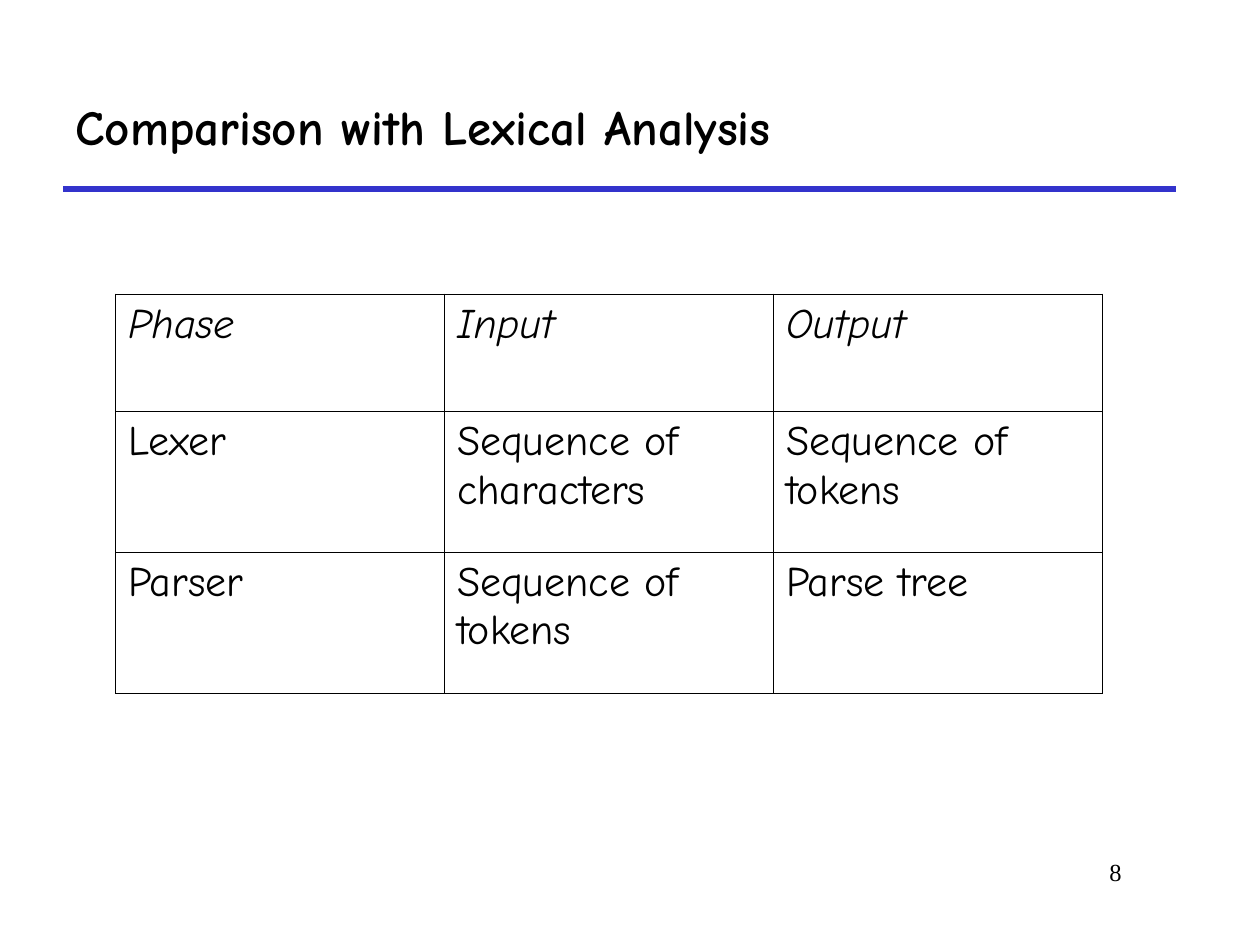
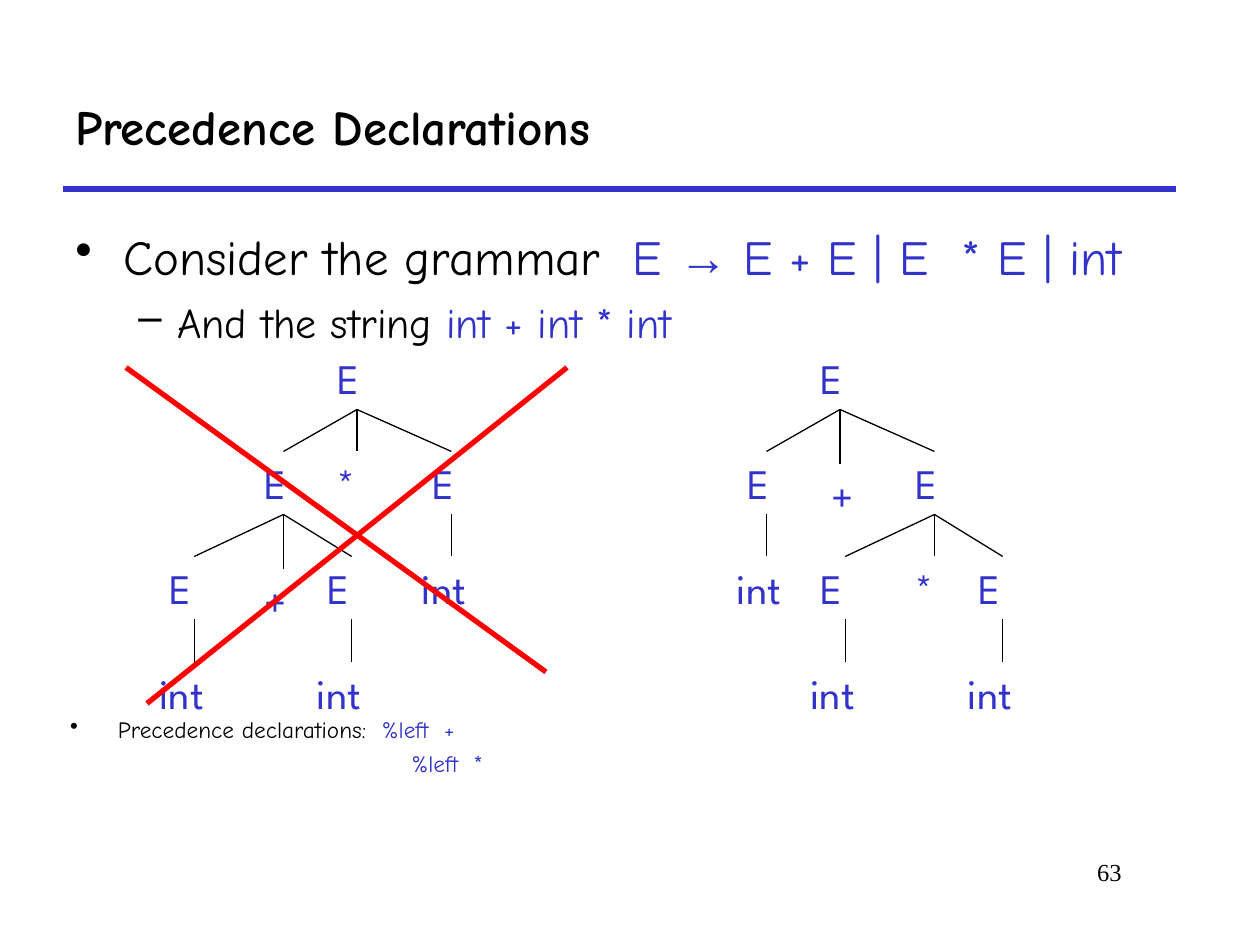
from lxml.etree import SubElement
from pptx import Presentation
from pptx.dml.color import RGBColor
from pptx.enum.shapes import MSO_CONNECTOR
from pptx.enum.text import MSO_ANCHOR, MSO_AUTO_SIZE, PP_ALIGN
from pptx.oxml import parse_xml
from pptx.oxml.ns import nsdecls, qn
from pptx.util import Inches, Pt

COLORS = {"ink": "000000", "accent": "3333CC", "cross": "FF0000"}
TEXT_FONT = "Comic Neue"
TREE_FONT = "League Spartan"
NUMBER_FONT = "Times New Roman"
COLUMNS, ROWS = 120, 90
TITLE_ONLY = 5
NODE_HEIGHT, LEVEL_STEP, TREE_TOP = 6, 10, 33
PLUS_DROP = 1.2
SPREADS = [(-7, 0, 9), (-8.5, 0, 6.5)]

PHASES = [
    ["Phase", "Input", "Output"],
    ["Lexer", "Sequence of characters", "Sequence of tokens"],
    ["Parser", "Sequence of tokens", "Parse tree"],
]

SUM_FIRST_TREE = ("E", 6, [
    ("E", 6, [
        ("E", 7, [("int", 9, [])]),
        ("+", 6, []),
        ("E", 7, [("int", 9, [])]),
    ]),
    ("*", 6, []),
    ("E", 6, [("int", 8, [])]),
])

PRODUCT_FIRST_TREE = ("E", 6, [
    ("E", 6, [("int", 8, [])]),
    ("+", 4, []),
    ("E", 6, [
        ("E", 7, [("int", 9, [])]),
        ("*", 6, []),
        ("E", 7, [("int", 9, [])]),
    ]),
])


def grid(*cells):
    return [Inches(cell / 12) for cell in cells]


def color(name):
    return RGBColor.from_string(COLORS[name])


def style(span, size, tint="ink", font=TEXT_FONT, bold=False, italic=False):
    span.font.size = Pt(size)
    span.font.name = font
    span.font.bold = bold
    span.font.italic = italic
    span.font.color.rgb = color(tint)


def add_span(para, text, size, tint="ink", font=TEXT_FONT):
    span = para.add_run()
    span.text = text
    style(span, size, tint, font)


def add_box(shapes, left, top, width, height):
    box = shapes.add_textbox(*grid(left, top, width, height))
    box.text_frame.word_wrap = True
    return box


def add_line(shapes, start, end, tint="ink", weight=0.75):
    line = shapes.add_connector(MSO_CONNECTOR.STRAIGHT, *grid(*start, *end))
    line.line.color.rgb = color(tint)
    line.line.width = Pt(weight)
    SubElement(line._element.spPr, qn("a:effectLst"))


def set_indent(para, margin, hanging=0, bullet=None):
    properties = para._p.get_or_add_pPr()
    properties.set("marL", str(Inches(margin)))
    properties.set("indent", str(-Inches(hanging)))
    if bullet:
        tint = SubElement(properties, qn("a:buClr"))
        SubElement(tint, qn("a:srgbClr"), val=COLORS["ink"])
        SubElement(properties, qn("a:buChar"), char=bullet)
    else:
        SubElement(properties, qn("a:buNone"))


def add_page(deck, title, number):
    page = deck.slides.add_slide(deck.slide_layouts[TITLE_ONLY])
    add_line(page.shapes, (6, 18), (112, 18), "accent", 3)

    number_box = add_box(page.shapes, 91, 81, 17, 6)
    para = number_box.text_frame.paragraphs[0]
    para.text = str(number)
    para.alignment = PP_ALIGN.RIGHT
    style(para.runs[0], 14, font=NUMBER_FONT)

    heading = page.shapes.title
    heading.left, heading.top, heading.width, heading.height = grid(6, 6, 106, 12)
    frame = heading.text_frame
    frame.text = title
    frame.vertical_anchor = MSO_ANCHOR.MIDDLE
    frame.auto_size = MSO_AUTO_SIZE.NONE
    frame.paragraphs[0].alignment = PP_ALIGN.LEFT
    style(frame.paragraphs[0].runs[0], 28, bold=True)
    return page


def add_cell_borders(cell):
    properties = cell._tc.get_or_add_tcPr()
    for position, side in enumerate(("lnL", "lnR", "lnT", "lnB")):
        properties.insert(position, parse_xml(
            f'<a:{side} {nsdecls("a")} w="{Pt(0.45)}"><a:solidFill>'
            f'<a:srgbClr val="{COLORS["ink"]}"/></a:solidFill></a:{side}>'))


def add_phase_table(page):
    table = page.shapes.add_table(
        len(PHASES), len(PHASES[0]), *grid(11, 28, 94, 38)).table
    table.first_row = False
    table.horz_banding = False
    for row, height in zip(table.rows, grid(11.2, 13.4, 13.4)):
        row.height = height
    for row_index, labels in enumerate(PHASES):
        for column_index, label in enumerate(labels):
            cell = table.cell(row_index, column_index)
            cell.text_frame.text = label
            cell.fill.background()
            add_cell_borders(cell)
            para = cell.text_frame.paragraphs[0]
            para.space_before = Pt(6)
            style(para.runs[0], 24, italic=row_index == 0)


def add_grammar(page):
    frame = add_box(page.shapes, 6, 21, 109, 14).text_frame
    grammar = frame.paragraphs[0]
    grammar.space_before = Pt(7)
    set_indent(grammar, 0.38, 0.38, "•")
    add_span(grammar, "Consider the grammar  ", 28)
    add_span(grammar, "E ", 28, "accent")
    add_span(grammar, "→", 28, "accent", "Arial")
    add_span(grammar, " E + E | E  * E | int", 28, "accent")

    example = frame.add_paragraph()
    example.level = 1
    example.space_before = Pt(6)
    set_indent(example, 0.81, 0.31, "–")
    add_span(example, "And the string ", 24)
    add_span(example, "int + int * int", 24, "accent")


def add_declarations(page):
    frame = add_box(page.shapes, 5.5, 68, 109, 8).text_frame
    first, second = frame.paragraphs[0], frame.add_paragraph()
    for para in (first, second):
        para.space_before = Pt(7)
        para.line_spacing = 0.8
    set_indent(first, 0.38, 0.38, "•")
    add_span(first, "Precedence declarations: ", 13.3)
    add_span(first, " %left  +", 13.3, "accent")
    set_indent(second, 2.71)
    add_span(second, "%left  *", 13.3, "accent")


def add_tree(shapes, node, stem, level=0):
    label, width, children = node
    top = TREE_TOP + level * LEVEL_STEP + (PLUS_DROP if label == "+" else 0)
    box = add_box(shapes, stem - width / 2, top, width, NODE_HEIGHT)
    box.text_frame.text = label
    box.text_frame.auto_size = MSO_AUTO_SIZE.SHAPE_TO_FIT_TEXT
    para = box.text_frame.paragraphs[0]
    para.space_before = Pt(15)
    style(para.runs[0], 24, "accent", TREE_FONT)

    offsets = SPREADS[level] if len(children) == 3 else (0,)
    for child, offset in zip(children, offsets):
        child_stem = stem + offset
        child_top = add_tree(shapes, child, child_stem, level + 1)
        add_line(shapes, (stem, top + NODE_HEIGHT), (child_stem, child_top))
    return top


def add_cross(page):
    group = page.shapes.add_group_shape()
    add_line(group.shapes, (12, 35), (52, 64), "cross", 3)
    add_line(group.shapes, (14, 67), (54, 35), "cross", 3)


def main():
    deck = Presentation()
    deck.slide_width, deck.slide_height = grid(COLUMNS, ROWS)

    comparison = add_page(deck, "Comparison with Lexical Analysis", 8)
    add_phase_table(comparison)

    precedence = add_page(deck, "Precedence Declarations", 63)
    add_grammar(precedence)
    for tree, stem in ((PRODUCT_FIRST_TREE, 80), (SUM_FIRST_TREE, 34)):
        add_tree(precedence.shapes.add_group_shape().shapes, tree, stem)
    add_declarations(precedence)
    add_cross(precedence)

    deck.save("out.pptx")


if __name__ == "__main__":
    main()
